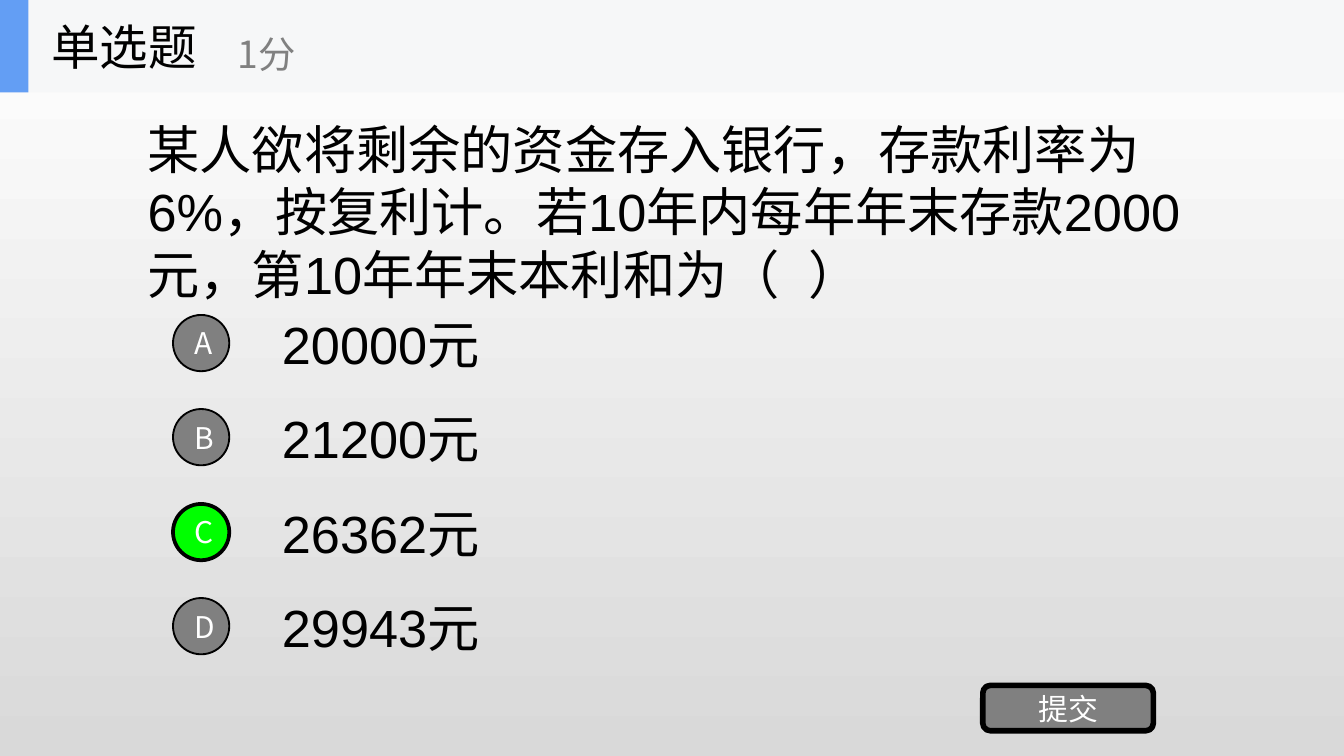
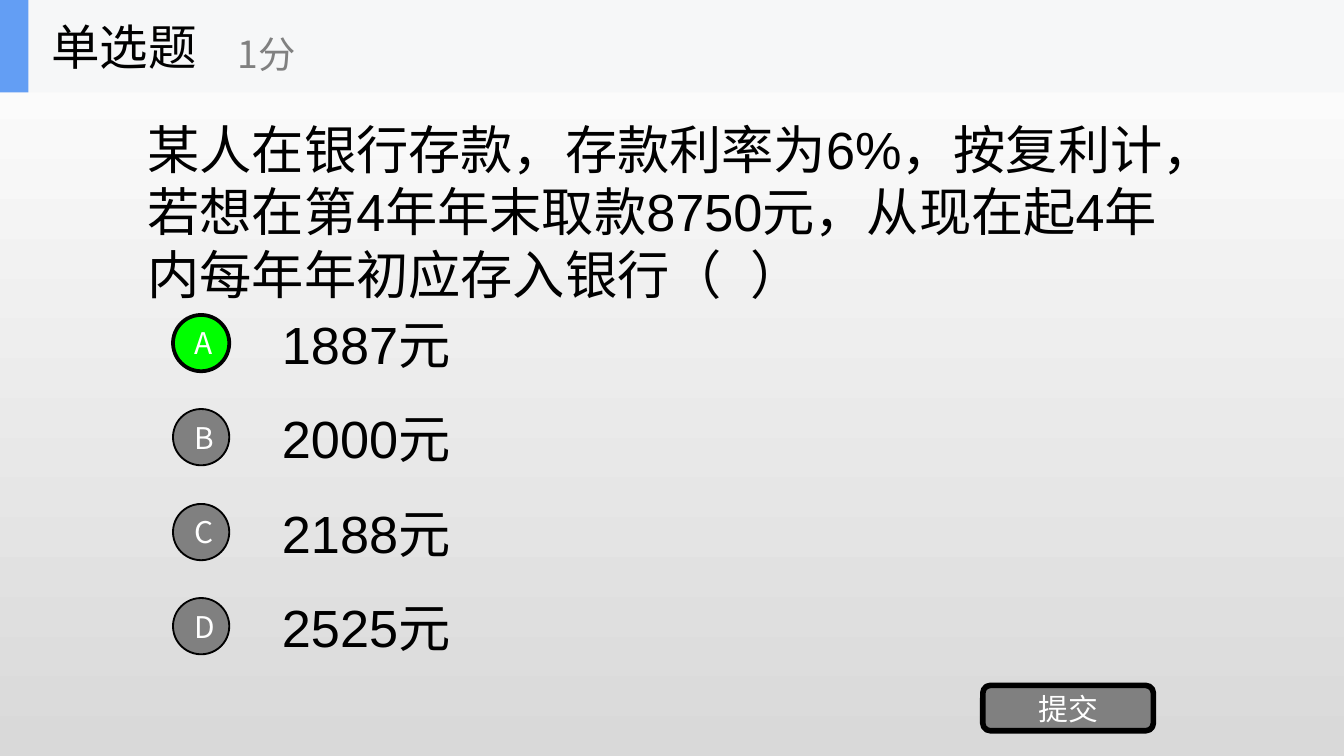
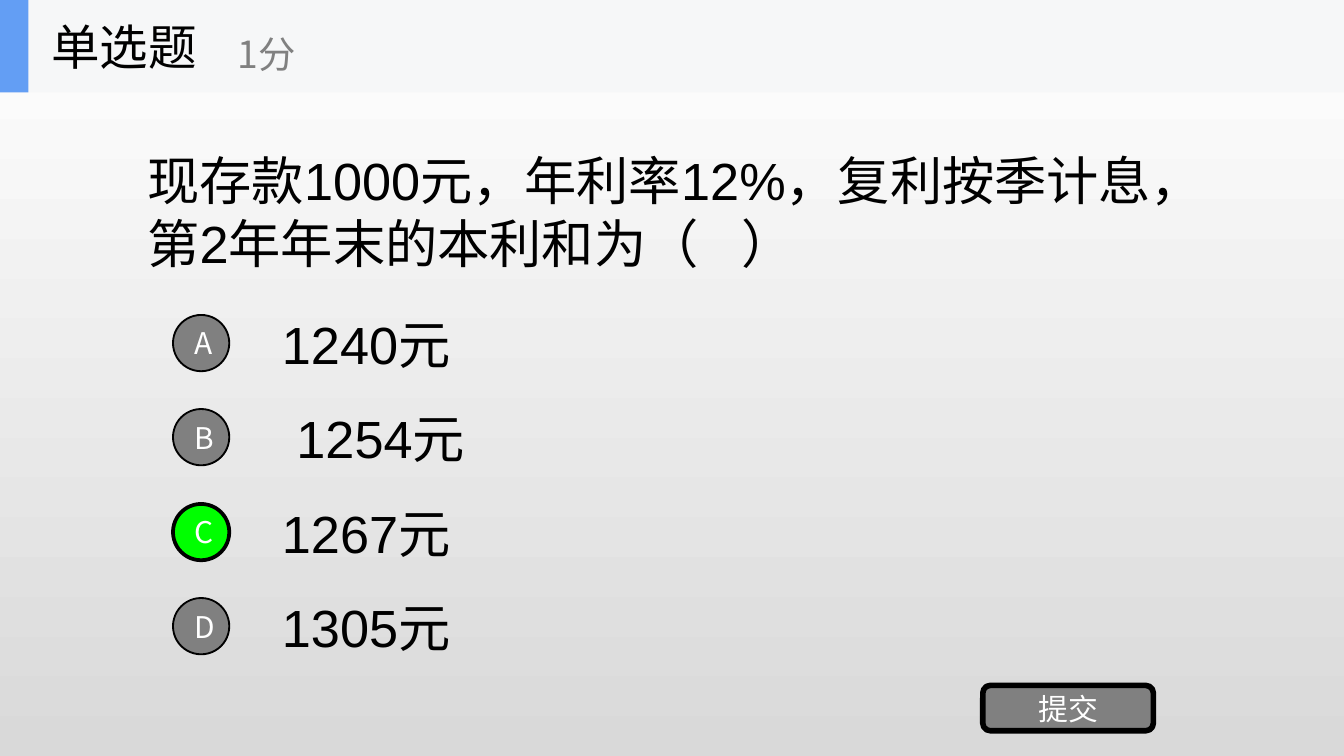
from collections import namedtuple

from pptx import Presentation
from pptx.dml.color import RGBColor
from pptx.enum.shapes import MSO_SHAPE as Preset
from pptx.enum.text import MSO_ANCHOR as Anchor, MSO_AUTO_SIZE as AutoSize, PP_ALIGN as Align
from pptx.oxml.ns import qn
from pptx.util import Pt

EMU_PER_PX = 5715
SLIDE_SIZE = (1600, 900)
COLORS = {
    "text": "000000",
    "muted": "808080",
    "white": "FFFFFF",
    "correct": "00FF00",
    "band": "F6F7F8",
    "accent": "639EF4",
    "background_end": "D9D9D9",
}
LATIN_FONT = "Arial"
CHINESE_FONT = "Noto Sans CJK SC"

Box = namedtuple("Box", "left top width height")
Question = namedtuple("Question", "text options answer")

HEADER = Box(0, 0, 1600, 110)
QUESTION = Box(160, 110, 1280, 282)
OPTIONS = Box(206, 366, 1234, 450)
SUBMIT = Box(1170, 816, 203, 54)

QUESTIONS = [
    Question(
        "某人欲将剩余的资金存入银行，存款利率为6%，按复利计。若10年内每年年末存款2000元，第10年年末本利和为（  ）",
        ["20000元", "21200元", "26362元", "29943元"],
        "C",
    ),
    Question(
        "某人在银行存款，存款利率为6%，按复利计，若想在第4年年末取款8750元，从现在起4年内每年年初应存入银行（  ）",
        ["1887元", "2000元", "2188元", "2525元"],
        "A",
    ),
    Question(
        "现存款1000元，年利率12%，复利按季计息，第2年年末的本利和为（   ）",
        ["1240元", " 1254元", "1267元", "1305元"],
        "C",
    ),
]


def px(value):
    return value * EMU_PER_PX


def color(name):
    return RGBColor.from_string(COLORS[name])


def emu(box):
    return [px(length) for length in box]


def inside(parent, left, top, width, height):
    return Box(parent.left + left, parent.top + top, width, height)


def write(shape, text, size, font_name, color_name="text", align=Align.LEFT, wrap=True):
    frame = shape.text_frame
    frame.text = text
    frame.word_wrap = wrap
    frame.auto_size = AutoSize.NONE
    frame.vertical_anchor = Anchor.MIDDLE
    paragraph = frame.paragraphs[0]
    paragraph.alignment = align
    for run in paragraph.runs:
        run.font.size = Pt(size)
        run.font.name = font_name
        run.font.color.rgb = color(color_name)
        east_asian = run.font._element.makeelement(qn("a:ea"), {"typeface": font_name})
        run.font._element.find(qn("a:latin")).addnext(east_asian)


def add_text(slide, box, text, size, font_name, color_name="text", wrap=True):
    shape = slide.shapes.add_textbox(*emu(box))
    write(shape, text, size, font_name, color_name, wrap=wrap)


def add_filled(slide, preset, box, fill, line_width=0):
    shape = slide.shapes.add_shape(preset, *emu(box))
    shape.shadow.inherit = False
    shape.fill.solid()
    shape.fill.fore_color.rgb = color(fill)
    if line_width:
        shape.line.color.rgb = color("text")
        shape.line.width = Pt(line_width)
    else:
        shape.line.fill.background()
    return shape


def add_button(slide, preset, box, text, fill, line_width):
    button = add_filled(slide, preset, box, fill, line_width)
    write(button, text, 16, CHINESE_FONT, "white", Align.CENTER)


def add_header(slide, box):
    add_filled(slide, Preset.RECTANGLE, box, "band")
    add_filled(slide, Preset.RECTANGLE, inside(box, 0, 0, 34, box.height), "accent")
    title = slide.shapes.title
    title.left, title.top, title.width, title.height = emu(inside(box, 45, 0, 333, box.height))
    write(title, "单选题", 26, CHINESE_FONT, wrap=False)
    title.element.getparent().append(title.element)
    add_text(slide, inside(box, 267, 19, 400, 90), "1分", 20, CHINESE_FONT, "muted", wrap=False)


def add_options(slide, box, options, answer):
    for index, (letter, option) in enumerate(zip("ABCD", options)):
        top = index * box.height // len(options)
        add_text(slide, inside(box, 114, top, box.width - 114, 85), option, 28, LATIN_FONT)
        fill, line_width = ("correct", 2) if letter == answer else ("muted", 1)
        add_button(slide, Preset.OVAL, inside(box, 0, top + 9, 67, 67), letter, fill, line_width)


def add_question_slide(presentation, question):
    slide = presentation.slides.add_slide(presentation.slide_layouts[5])
    add_text(slide, QUESTION, question.text, 28, LATIN_FONT)
    add_options(slide, OPTIONS, question.options, question.answer)
    add_button(slide, Preset.ROUNDED_RECTANGLE, SUBMIT, "提交", "muted", 3)
    add_header(slide, HEADER)


def set_background(master):
    fill = master.background.fill
    fill.gradient()
    fill.gradient_angle = 270
    for stop, name, position in zip(fill.gradient_stops, ("white", "background_end"), (0, 1)):
        stop.color.rgb = color(name)
        stop.position = position


def main():
    presentation = Presentation()
    presentation.slide_width, presentation.slide_height = map(px, SLIDE_SIZE)
    set_background(presentation.slide_master)
    for question in QUESTIONS:
        add_question_slide(presentation, question)
    presentation.save("out.pptx")


if __name__ == "__main__":
    main()
